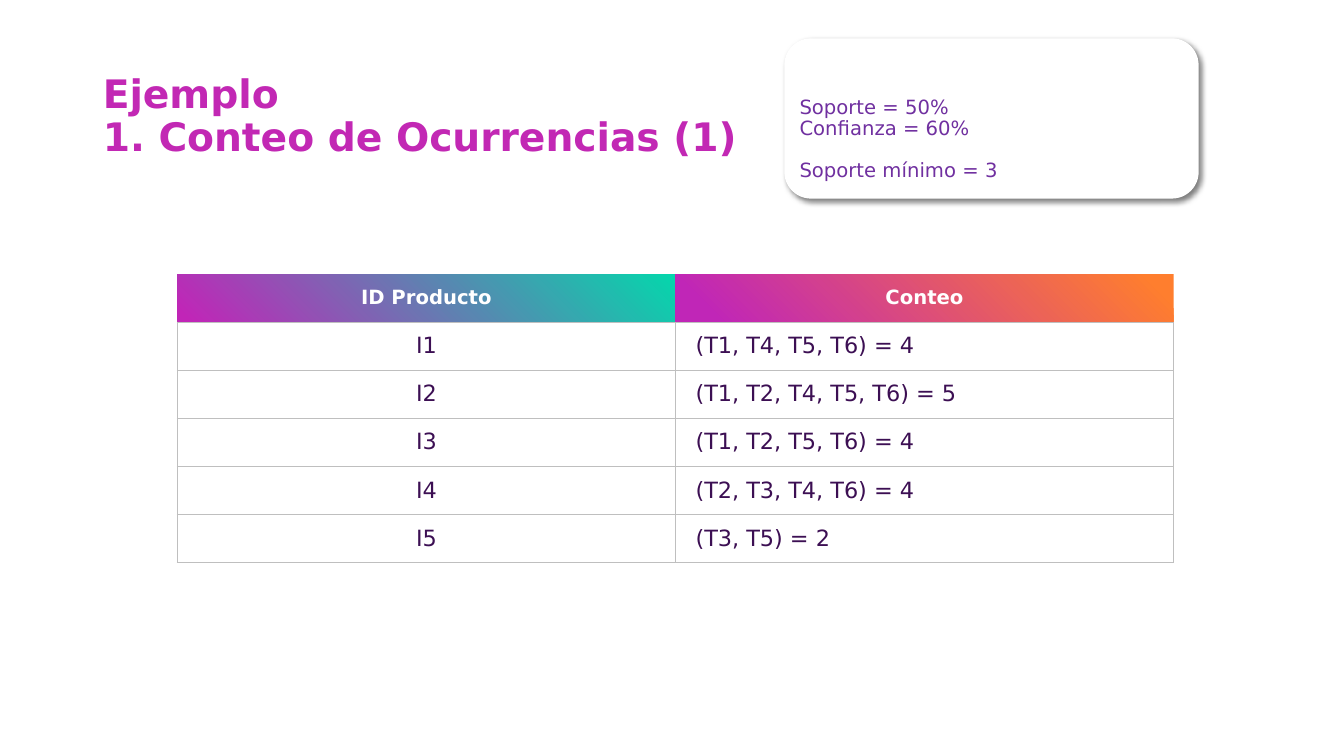
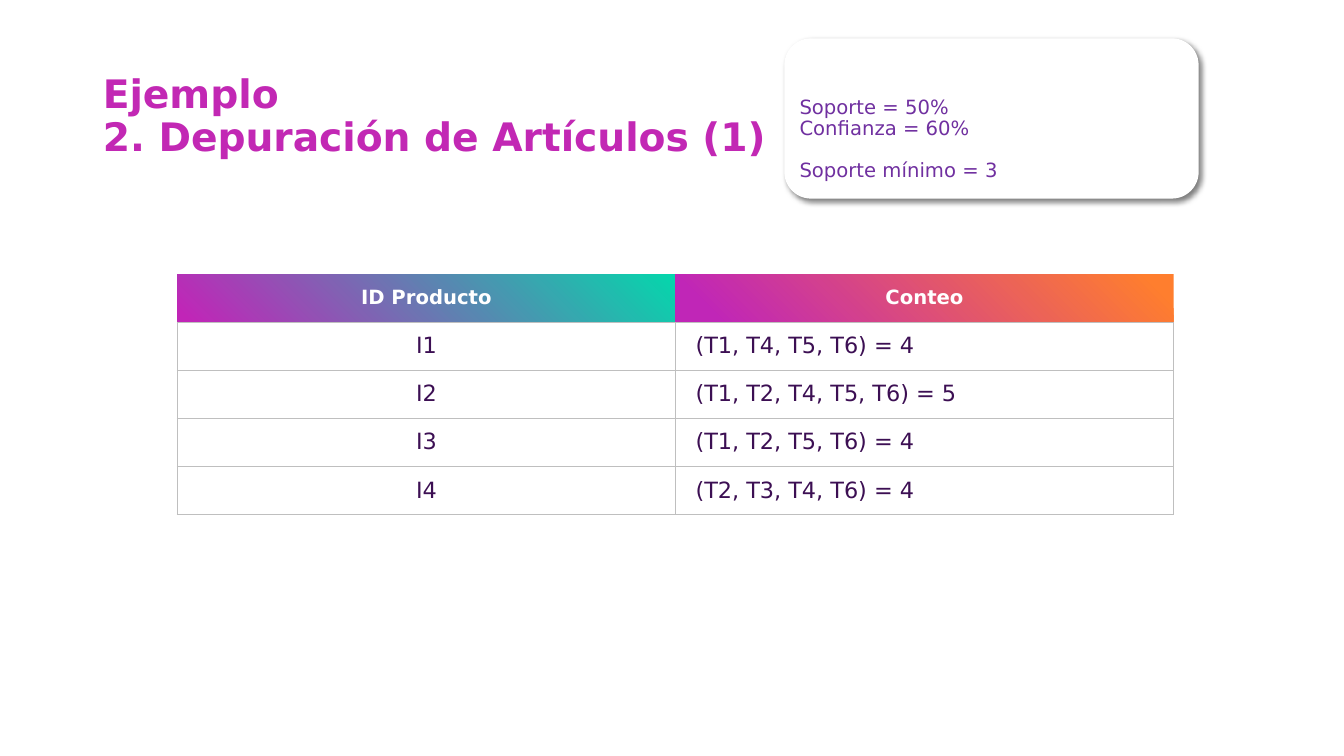
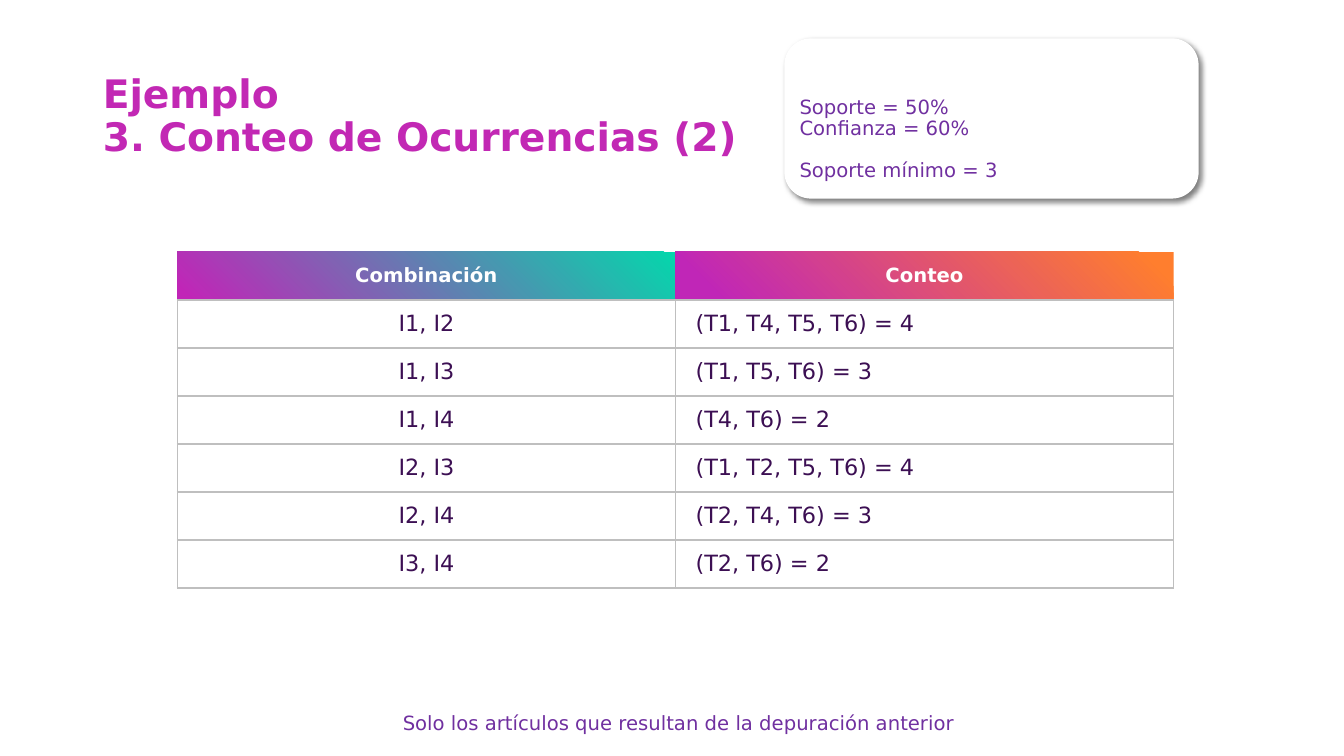
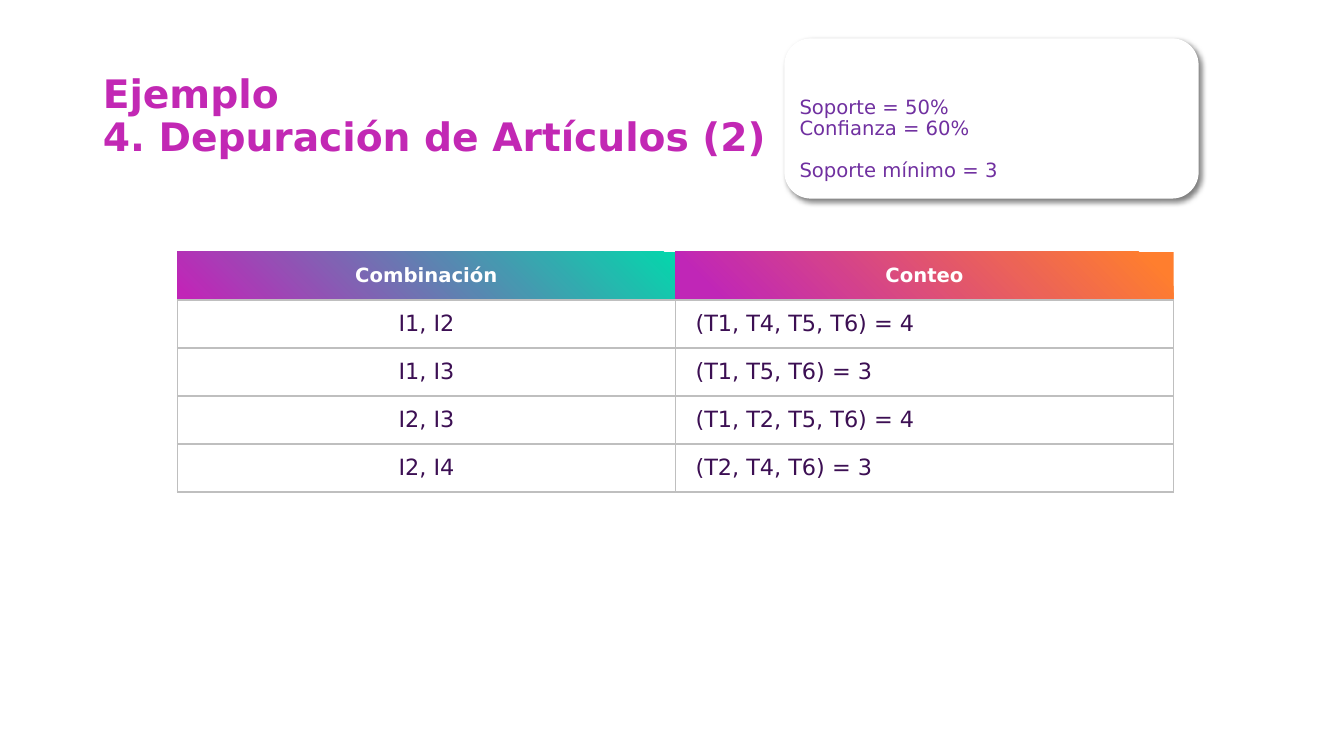
from copy import deepcopy

from lxml import etree
from pptx import Presentation
from pptx.dml.color import RGBColor
from pptx.enum.shapes import MSO_SHAPE as Shape
from pptx.enum.text import MSO_ANCHOR as Anchor, MSO_AUTO_SIZE as AutoSize, PP_ALIGN as Align
from pptx.oxml import parse_xml
from pptx.oxml.ns import nsdecls, qn
from pptx.util import Inches, Pt

FONT = "DejaVu Sans"
COLORS = {
    "title": "C228B4",
    "note": "7030A0",
    "body": "3C0F53",
    "border": "BFBFBF",
    "white": "FFFFFF",
    "shadow": "000000",
}
HEADER_GRADIENTS = [
    [(0.01, "06D5AC"), (0.98, "C125B7")],
    [(0.05, "FF7E2E"), (0.92, "C026B7")],
]
MINIMUM_SUPPORT = 3
ROW_HEIGHT = Pt(34.3)
SHADOW = f"""<a:outerShdw {nsdecls("a")} blurRad="{Pt(4)}" dist="{Pt(3)}" dir="2700000"
    algn="tl" rotWithShape="0"><a:srgbClr val="{COLORS["shadow"]}"><a:alpha val="50000"/>
    </a:srgbClr></a:outerShdw>"""

ITEMS = [
    ("I1", "T1, T4, T5, T6"),
    ("I2", "T1, T2, T4, T5, T6"),
    ("I3", "T1, T2, T5, T6"),
    ("I4", "T2, T3, T4, T6"),
    ("I5", "T3, T5"),
]
PAIRS = [
    ("I1, I2", "T1, T4, T5, T6"),
    ("I1, I3", "T1, T5, T6"),
    ("I1, I4", "T4, T6"),
    ("I2, I3", "T1, T2, T5, T6"),
    ("I2, I4", "T2, T4, T6"),
    ("I3, I4", "T2, T6"),
]
# title, first heading, table top, entries, least count shown, hint
SLIDES = [
    ("1. Conteo de Ocurrencias (1)", "ID Producto", 36.27, ITEMS, 0, ""),
    ("2. Depuración de Artículos (1)", "ID Producto", 36.27, ITEMS, MINIMUM_SUPPORT, ""),
    ("3. Conteo de Ocurrencias (2)", "Combinación", 33.33, PAIRS, 0,
     "Solo los artículos que resultan de la depuración anterior"),
    ("4. Depuración de Artículos (2)", "Combinación", 33.33, PAIRS, MINIMUM_SUPPORT, ""),
]

deck = Presentation()
deck.slide_width, deck.slide_height = Inches(13.33), Inches(7.5)


def area(left, top, width, height):
    """Turn percentages of the slide's size into lengths."""
    column, row = deck.slide_width / 100, deck.slide_height / 100
    return int(left * column), int(top * row), int(width * column), int(height * row)


def write(frame, text, size=14, color="note", bold=False, align=Align.LEFT, spacing=None):
    """Fill a text frame; \\n starts a paragraph and \\v breaks a line."""
    frame.text = text
    for para in frame.paragraphs:
        para.alignment = align
        para.line_spacing = spacing
        for span in para.runs:
            span.font.name = FONT
            span.font.size = Pt(size)
            span.font.bold = bold
            span.font.color.rgb = RGBColor.from_string(COLORS[color])
        for line_break in para._p.findall(qn("a:br")):
            line_break.append(deepcopy(para.runs[0]._r.rPr))


for step, heading, table_top, entries, least, hint in SLIDES:
    page = deck.slides.add_slide(deck.slide_layouts[5])

    title = page.shapes.title
    title.left, title.top, title.width, title.height = area(6.9, 9.47, 86.27, 12.13)
    write(title.text_frame, f"Ejemplo\v{step}", size=28, color="title", bold=True, spacing=0.9)
    title.text_frame.vertical_anchor = Anchor.MIDDLE
    title.text_frame.auto_size = AutoSize.NONE

    card = page.shapes.add_shape(Shape.ROUNDED_RECTANGLE, *area(58.36, 5.07, 30.83, 21.2))
    card.fill.solid()
    card.fill.fore_color.rgb = RGBColor.from_string(COLORS["white"])
    card.line.fill.background()
    card.shadow.inherit = False
    card._element.spPr.find(qn("a:effectLst")).append(parse_xml(SHADOW))

    thresholds = f"Soporte = 50%\nConfianza = 60%\nSoporte mínimo = {MINIMUM_SUPPORT}"
    notes = [(thresholds, area(59.49, 12.27, 28.43, 12.67), Align.LEFT)]
    if hint:
        notes.append((hint, area(7.8, 93.73, 86.12, 4.13), Align.CENTER))
    for text, place, align in notes:
        box = page.shapes.add_textbox(*place)
        frame = box.text_frame
        frame.word_wrap = True
        frame.auto_size = AutoSize.SHAPE_TO_FIT_TEXT
        frame.margin_left = 0
        write(frame, text, align=align, spacing=0.9)
        if text == thresholds:
            frame.paragraphs[-1].space_before = Pt(14.7)

    rows = [(heading, "Conteo")]
    for name, transactions in entries:
        count = len(transactions.split(", "))
        if count >= least:
            rows.append((name, f"({transactions}) = {count}"))

    left, top, width, height = area(13.2, table_top, 74.12, 0)
    table = page.shapes.add_table(len(rows), 2, left, top, width, ROW_HEIGHT * len(rows)).table
    for row_index, row in enumerate(rows):
        table.rows[row_index].height = ROW_HEIGHT
        for column_index, text in enumerate(row):
            cell = table.cell(row_index, column_index)
            is_header = row_index == 0
            cell.vertical_anchor = Anchor.MIDDLE
            if not is_header:
                cell.margin_left = Inches(0.2 * column_index)
                cell.margin_right = cell.margin_top = cell.margin_bottom = 0

            properties = cell._tc.get_or_add_tcPr()
            for side in ("lnL", "lnR", "lnT", "lnB"):
                border = etree.SubElement(properties, qn(f"a:{side}"), w=str(Pt(1)))
                if is_header and side != "lnB":
                    etree.SubElement(border, qn("a:noFill"))
                else:
                    paint = etree.SubElement(border, qn("a:solidFill"))
                    etree.SubElement(paint, qn("a:srgbClr"), val=COLORS["border"])

            if is_header:
                cell.fill.gradient()
                cell.fill.gradient_angle = 225
                for stop, (position, color) in zip(cell.fill.gradient_stops,
                                                   HEADER_GRADIENTS[column_index]):
                    stop.position = position
                    stop.color.rgb = RGBColor.from_string(color)
                write(cell.text_frame, text, color="white", bold=True, align=Align.CENTER)
            else:
                cell.fill.solid()
                cell.fill.fore_color.rgb = RGBColor.from_string(COLORS["white"])
                write(cell.text_frame, text, size=16, color="body",
                      align=Align.LEFT if column_index else Align.CENTER)

deck.save("out.pptx")
